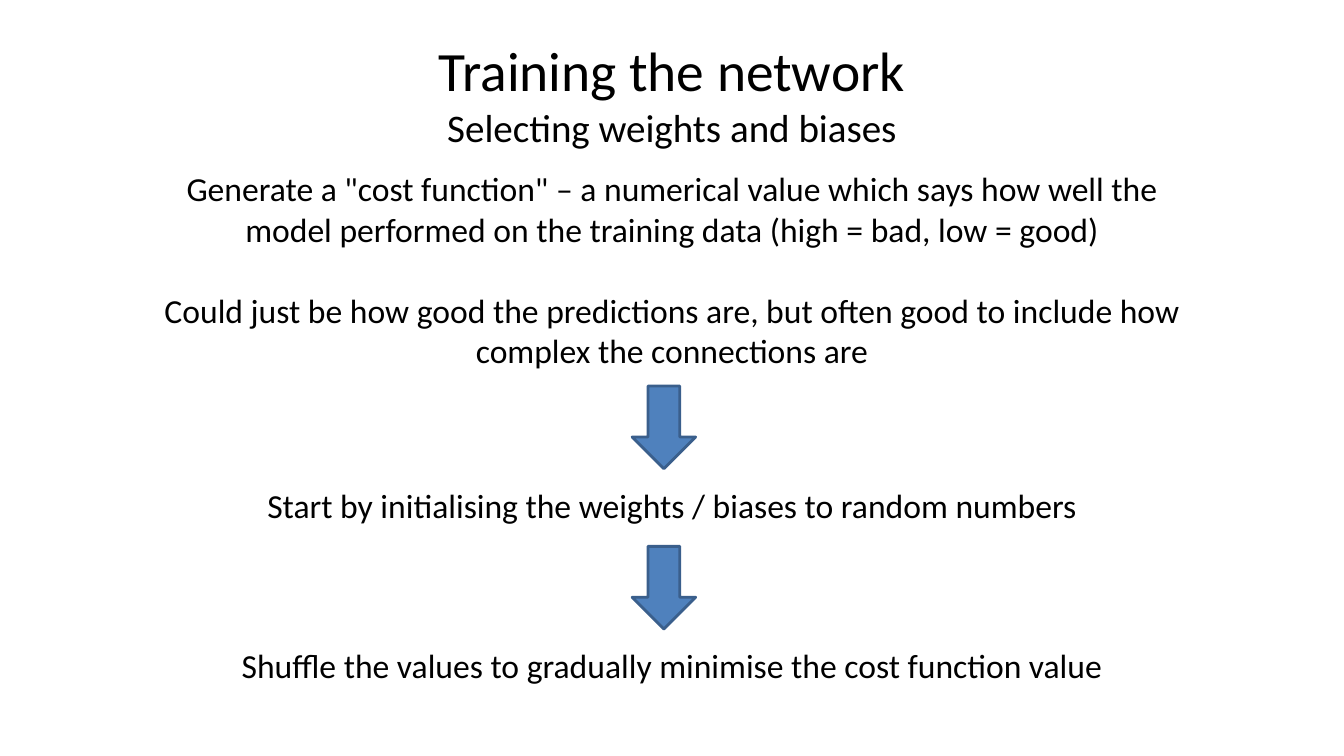
from dataclasses import dataclass
from pptx import Presentation
from pptx.dml.color import RGBColor as RGB
from pptx.enum.shapes import MSO_SHAPE as Shape
from pptx.enum.text import MSO_ANCHOR as Anchor, PP_ALIGN as Align
from pptx.util import Inches, Pt


@dataclass(frozen=True)
class Theme:
    font: str = "Calibri"
    ink: RGB = RGB(0, 0, 0)
    fill: RGB = RGB(0x4F, 0x81, 0xBD)
    edge: RGB = RGB(0x3A, 0x5F, 0x8C)
    title: float = 39.6
    sub: float = 27.9
    body: float = 24
    gap: float = 29.3


THEME = Theme()
WIDE, HIGH = 13.33, 7.5
LEFT, SPAN = 1.47, 10.39
STEP = 1.59  # height of one arrow with its text

COST = [
    'Generate a "cost function" – a numerical value which says how well the '
    "model performed on the training data (high = bad, low = good)",
    "Could just be how good the predictions are, but often good to include "
    "how complex the connections are",
]
STEPS = [
    "Start by initialising the weights / biases to random numbers",
    "Shuffle the values to gradually minimise the cost function value",
]


def add_box(slide, box, anchor=Anchor.TOP):
    frame = slide.shapes.add_textbox(*map(Inches, box)).text_frame
    frame.word_wrap = True
    frame.vertical_anchor = anchor
    return frame


def add_run(para, text, size):
    para.alignment = Align.CENTER
    run = para.add_run()
    run.text = text
    run.font.name = THEME.font
    run.font.size = Pt(size)
    run.font.color.rgb = THEME.ink


def add_title(slide, box, title, sub):
    para = add_box(slide, box, Anchor.MIDDLE).paragraphs[0]
    add_run(para, title, THEME.title)
    para.add_line_break()
    add_run(para, sub, THEME.sub)


def add_body(slide, box, texts):
    frame = add_box(slide, box)
    for i, text in enumerate(texts):
        para = frame.add_paragraph() if i else frame.paragraphs[0]
        if i:
            para.space_before = Pt(THEME.gap * 2 - THEME.gap)
        add_run(para, text, THEME.body)


def add_arrow(slide, box):
    arrow = slide.shapes.add_shape(Shape.DOWN_ARROW, *map(Inches, box))
    arrow.shadow.inherit = False
    arrow.fill.solid()
    arrow.fill.fore_color.rgb = THEME.fill
    arrow.line.color.rgb = THEME.edge
    arrow.line.width = Pt(2)


def add_step(slide, box, text):
    """Place an arrow at the top of the box and its text at the foot."""
    left, top, wide, high = box
    tip, row = 0.82, 0.5
    add_arrow(slide, (left + wide * 0.462, top, 0.63, tip))
    add_body(slide, (left, top + high * 0.587, wide, row), [text])


def main():
    deck = Presentation()
    deck.slide_width, deck.slide_height = Inches(WIDE), Inches(HIGH)
    slide = deck.slides.add_slide(deck.slide_layouts[6])
    add_title(slide, (WIDE * 0.05, HIGH * 0.04, WIDE * 0.9, HIGH / 6),
              "Training the network", "Selecting weights and biases")
    add_body(slide, (LEFT, 1.62, SPAN, 2.12), COST)
    for i, text in enumerate(STEPS):
        add_step(slide, (LEFT, 3.83 + i * STEP, SPAN, STEP), text)
    deck.save("out.pptx")


if __name__ == "__main__":
    main()
